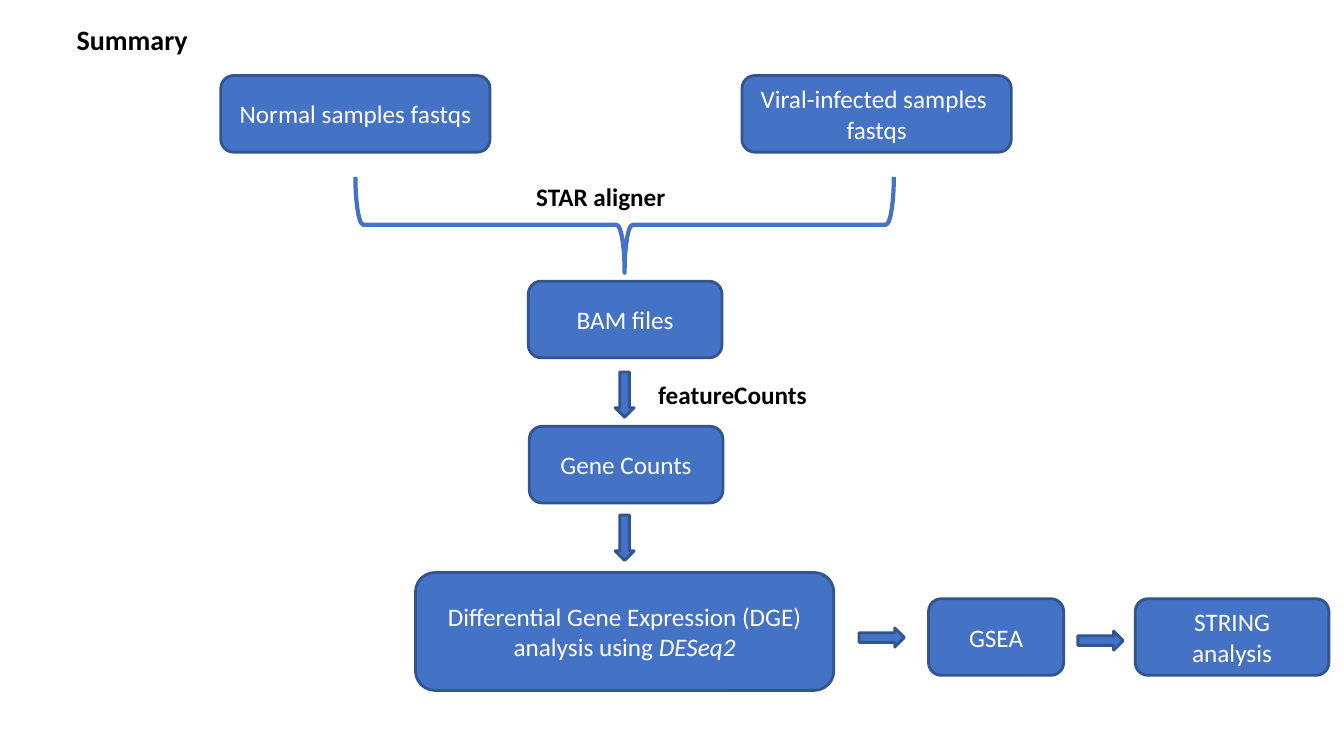
from dataclasses import dataclass

from pptx import Presentation
from pptx.dml.color import RGBColor
from pptx.enum.shapes import MSO_SHAPE
from pptx.enum.text import MSO_ANCHOR, MSO_AUTO_SIZE, PP_ALIGN
from pptx.util import Inches, Pt


@dataclass(frozen=True)
class Theme:
    font: str = "Calibri"
    fill: RGBColor = RGBColor(0x44, 0x72, 0xC4)
    outline: RGBColor = RGBColor(0x32, 0x54, 0x90)
    on_fill: RGBColor = RGBColor(0xFF, 0xFF, 0xFF)
    ink: RGBColor = RGBColor(0, 0, 0)
    title_size: Pt = Pt(20)
    body_size: Pt = Pt(18)
    outline_width: Pt = Pt(2)
    brace_width: Pt = Pt(3)


THEME = Theme()
STEP_HEIGHT = 0.76
ARROW_WIDTH, ARROW_LENGTH = 0.19, 0.45


def style_run(run, size, color, bold=False):
    run.font.name = THEME.font
    run.font.size = size
    run.font.bold = bold
    run.font.color.rgb = color


def add_preset(slide, preset, left, top, width, height):
    shape = slide.shapes.add_shape(
        preset, Inches(left), Inches(top), Inches(width), Inches(height))
    shape.shadow.inherit = False
    shape.fill.solid()
    shape.fill.fore_color.rgb = THEME.fill
    shape.line.color.rgb = THEME.outline
    shape.line.width = THEME.outline_width
    return shape


def add_step(slide, text, left, top, width, height=STEP_HEIGHT, italic_tail=""):
    step = add_preset(slide, MSO_SHAPE.ROUNDED_RECTANGLE, left, top, width, height)
    frame = step.text_frame
    frame.word_wrap = True
    frame.vertical_anchor = MSO_ANCHOR.MIDDLE
    frame.text = text
    if italic_tail:
        tail = frame.paragraphs[-1].add_run()
        tail.text = italic_tail
        tail.font.italic = True
    for paragraph in frame.paragraphs:
        paragraph.alignment = PP_ALIGN.CENTER
        for run in paragraph.runs:
            style_run(run, THEME.body_size, THEME.on_fill)


def add_flow_arrow(slide, left, top, rotation=0):
    arrow = add_preset(slide, MSO_SHAPE.DOWN_ARROW, left, top,
                       ARROW_WIDTH, ARROW_LENGTH)
    arrow.rotation = rotation


def add_merge_brace(slide, left, top, width, height):
    brace = add_preset(slide, MSO_SHAPE.LEFT_BRACE, left, top, width, height)
    brace.rotation = 270
    brace.fill.background()
    brace.line.color.rgb = THEME.fill
    brace.line.width = THEME.brace_width


def add_tool_label(slide, text, left, top, width):
    label = slide.shapes.add_textbox(
        Inches(left), Inches(top), Inches(width), Inches(0.4))
    label.text_frame.word_wrap = True
    label.text_frame.text = text
    style_run(label.text_frame.paragraphs[0].runs[0],
              THEME.body_size, THEME.ink, bold=True)


def set_title(slide, text):
    title = slide.shapes.title
    title.left, title.top = Inches(0.66), Inches(0.17)
    title.width, title.height = Inches(1.68), Inches(0.43)
    frame = title.text_frame
    frame.text = text
    frame.word_wrap = True
    frame.auto_size = MSO_AUTO_SIZE.NONE
    frame.vertical_anchor = MSO_ANCHOR.TOP
    frame.paragraphs[0].alignment = PP_ALIGN.LEFT
    style_run(frame.paragraphs[0].runs[0], THEME.title_size, THEME.ink, bold=True)


def main():
    deck = Presentation()
    deck.slide_width, deck.slide_height = Inches(13.33), Inches(7.5)
    slide = deck.slides.add_slide(deck.slide_layouts.get_by_name("Title Only"))
    set_title(slide, "Summary")

    # Sample inputs, merged by the aligner
    add_step(slide, "Normal samples fastqs", 2.19, 0.75, 2.67)
    add_step(slide, "Viral-infected samples\u00a0\nfastqs", 7.36, 0.75, 2.67)
    add_merge_brace(slide, 5.72, -0.44, 0.95, 5.34)
    add_tool_label(slide, "STAR aligner", 5.22, 1.75, 1.99)

    # Alignment to counts to differential expression
    add_step(slide, "BAM files", 5.24, 2.79, 1.92)
    add_flow_arrow(slide, 6.1, 3.69)
    add_tool_label(slide, "featureCounts", 6.43, 3.71, 2.3)
    add_step(slide, "Gene Counts", 5.25, 4.23, 1.92)
    add_flow_arrow(slide, 6.1, 5.11)
    add_step(slide, "Differential Gene Expression (DGE) analysis using ",
             4.12, 5.68, 4.15, 1.17, italic_tail="DESeq2")

    # Downstream analyses
    add_flow_arrow(slide, 8.65, 6.1, rotation=270)
    add_step(slide, "GSEA", 9.21, 5.94, 1.34)
    add_flow_arrow(slide, 10.82, 6.13, rotation=270)
    add_step(slide, "STRING\nanalysis", 11.26, 5.94, 1.92)

    deck.save("out.pptx")


if __name__ == "__main__":
    main()
